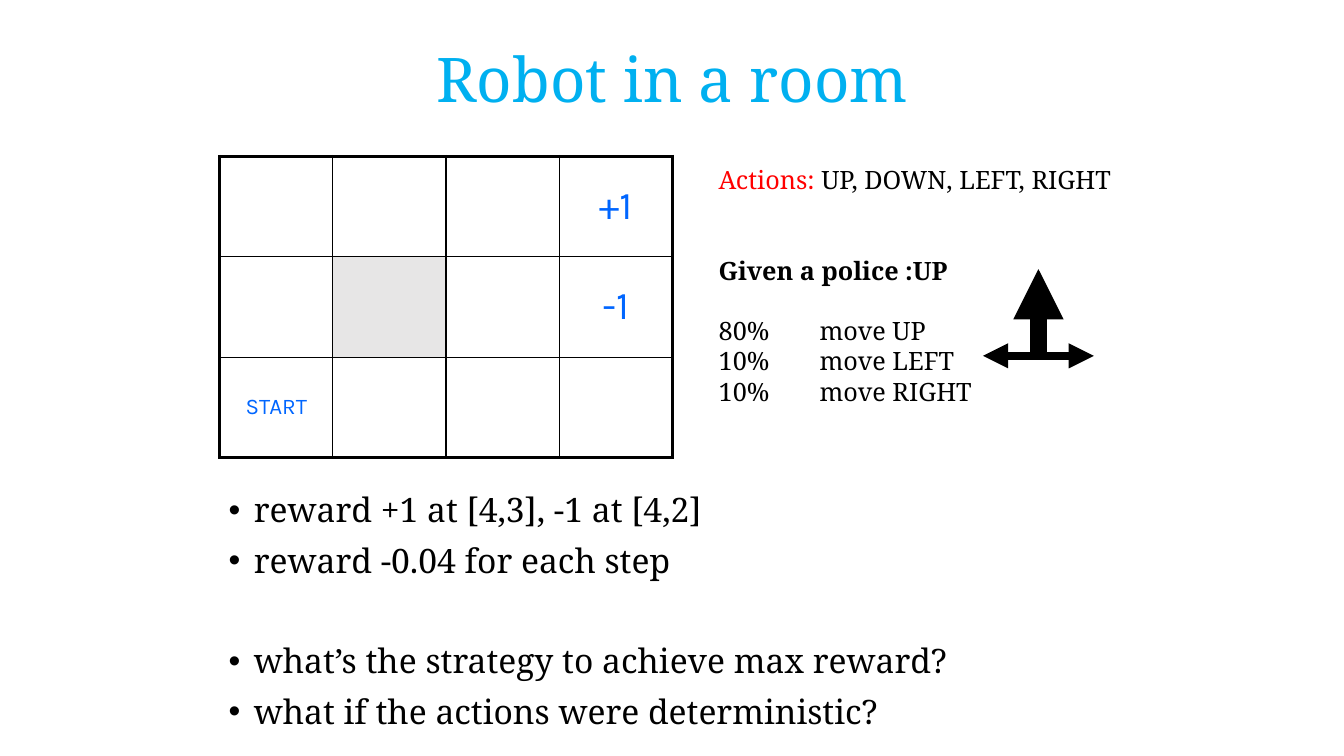
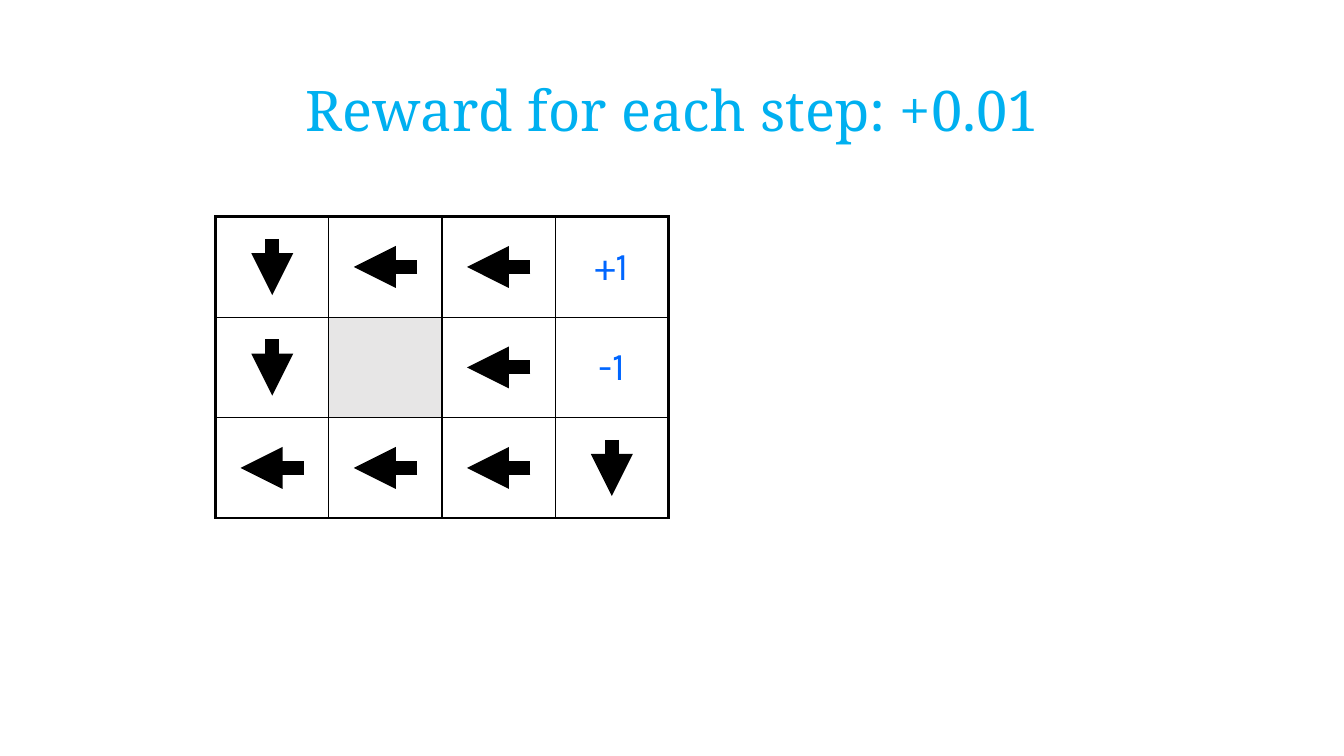
from dataclasses import dataclass

from lxml import etree
from pptx import Presentation
from pptx.dml.color import RGBColor
from pptx.enum.shapes import MSO_CONNECTOR
from pptx.enum.text import MSO_ANCHOR, MSO_AUTO_SIZE, PP_ALIGN
from pptx.oxml.ns import qn
from pptx.util import Inches, Pt

STRAIGHT = MSO_CONNECTOR.STRAIGHT
MIDDLE = MSO_ANCHOR.MIDDLE
CENTER = PP_ALIGN.CENTER
FIXED_SIZE = MSO_AUTO_SIZE.NONE
TITLE_ONLY = 5
SLIDE_WIDTH, SLIDE_HEIGHT = Inches(13.33), Inches(7.5)


@dataclass(frozen=True)
class Theme:
    serif: str = "Noto Serif"
    sans: str = "Karla"
    title: str = "00B0F0"
    ink: str = "000000"
    accent: str = "FF0000"
    mark: str = "0066FF"
    paper: str = "FFFFFF"
    wall: str = "E7E6E6"
    title_size: float = 44
    long_title_size: float = 40
    bullet_size: float = 24
    note_size: float = 18
    reward_size: float = 28
    start_size: float = 16
    frame_line: float = 2.25
    cell_line: float = 1
    line_height: float = 1.2
    tight: float = 0.9
    bullet_gap: float = 10


@dataclass(frozen=True)
class Box:
    left: int
    top: int
    width: int
    height: int

    @property
    def frame(self):
        return self.left, self.top, self.width, self.height

    def point(self, across, down):
        return round(self.left + across * self.width), round(self.top + down * self.height)

    def cell(self, row, column, rows, columns):
        left, top = self.point(column / columns, row / rows)
        return Box(left, top, self.width // columns, self.height // rows)


THEME = Theme()
ROOM_ROWS, ROOM_COLUMNS = 3, 4
WALL = (1, 1)
REWARDS = {(0, 3): "+1", (1, 3): "-1"}
DIRECTIONS = {"L": (-0.28, 0), "D": (0, 0.28)}


def percent_box(left, top, width, height):
    return Box(round(SLIDE_WIDTH * left / 100), round(SLIDE_HEIGHT * top / 100),
               round(SLIDE_WIDTH * width / 100), round(SLIDE_HEIGHT * height / 100))


def style_span(span, size, color=THEME.ink, font=THEME.serif, bold=False):
    span.font.name = font
    span.font.size = Pt(size)
    span.font.bold = bold
    span.font.color.rgb = RGBColor.from_string(color)


def style_para(para, size, **style):
    for span in para.runs:
        style_span(span, size, **style)


def add_titled_page(deck, text, box, size):
    page = deck.slides.add_slide(deck.slide_layouts[TITLE_ONLY])
    title = page.shapes.title
    title.left, title.top, title.width, title.height = box.frame
    frame = title.text_frame
    frame.text = text
    frame.auto_size = FIXED_SIZE
    frame.vertical_anchor = MIDDLE
    para = frame.paragraphs[0]
    para.alignment = CENTER
    para.line_spacing = THEME.tight
    style_para(para, size, color=THEME.title)
    return page


def add_text(page, box, lines):
    frame = page.shapes.add_textbox(*box.frame).text_frame
    frame.word_wrap = True
    frame.text = "\n".join(lines)
    return frame.paragraphs


def set_borders(cell, widths):
    properties = cell._tc.get_or_add_tcPr()
    for index, (side, width) in enumerate(widths.items()):
        line = etree.Element(qn(f"a:ln{side}"), w=str(Pt(width)))
        fill = etree.SubElement(line, qn("a:solidFill"))
        etree.SubElement(fill, qn("a:srgbClr"), val=THEME.ink)
        properties.insert(index, line)


def add_room(page, box, labels):
    table = page.shapes.add_table(ROOM_ROWS, ROOM_COLUMNS, *box.frame).table
    table.first_row = table.horz_banding = False
    for row in range(ROOM_ROWS):
        for column in range(ROOM_COLUMNS):
            cell = table.cell(row, column)
            cell.fill.solid()
            shade = THEME.wall if (row, column) == WALL else THEME.paper
            cell.fill.fore_color.rgb = RGBColor.from_string(shade)
            edges = {"L": column == 0, "R": column == ROOM_COLUMNS - 1,
                     "T": row == 0, "B": row == ROOM_ROWS - 1}
            set_borders(cell, {side: THEME.frame_line if outer else THEME.cell_line
                               for side, outer in edges.items()})
            label = labels.get((row, column))
            if label:
                cell.text = label
                cell.vertical_anchor = MIDDLE
                para = cell.text_frame.paragraphs[0]
                para.alignment = CENTER
                size = THEME.reward_size if (row, column) in REWARDS else THEME.start_size
                style_para(para, size, color=THEME.mark, font=THEME.sans)


def add_arrow(shapes, start, end, width):
    arrow = shapes.add_connector(STRAIGHT, *start, *end)
    arrow.line.color.rgb = RGBColor.from_string(THEME.ink)
    arrow.line.width = Pt(width)
    etree.SubElement(arrow.line._get_or_add_ln(), qn("a:tailEnd"), type="triangle")
    etree.SubElement(arrow._element.spPr, qn("a:effectLst"))


def add_move_arrows(page, box):
    group = page.shapes.add_group_shape()
    for end, width in (((0.5, 0), 12), ((1, 1), 6), ((0, 1), 6)):
        add_arrow(group.shapes, box.point(0.5, 1), box.point(*end), width)


def add_policy(page, box, policy):
    for row, moves in enumerate(policy):
        for column, move in enumerate(moves):
            if move in DIRECTIONS:
                across, down = DIRECTIONS[move]
                cell = box.cell(row, column, ROOM_ROWS, ROOM_COLUMNS)
                add_arrow(page.shapes, cell.point(0.5 - across, 0.5 - down),
                          cell.point(0.5 + across, 0.5 + down), 10)


def add_actions(page, box):
    paras = add_text(page, box, ["Actions: ", "Given a police :UP", "80% \tmove UP",
                                 "10%\tmove LEFT", "10%\tmove RIGHT"])
    actions, given, first_move = paras[:3]
    actions.add_run().text = "UP, DOWN, LEFT, RIGHT"
    for para in paras:
        style_para(para, THEME.note_size, bold=para is given)
    style_span(actions.runs[0], THEME.note_size, color=THEME.accent)
    line = THEME.note_size * THEME.line_height
    given.space_before = Pt(2 * line)
    first_move.space_before = Pt(line)


def add_bullets(page, box, groups):
    paras = add_text(page, box, [line for group in groups for line in group])
    group_starts = {sum(map(len, groups[:index])) for index in range(1, len(groups))}
    skipped = THEME.bullet_size * THEME.line_height * THEME.tight + THEME.bullet_gap
    for index, para in enumerate(paras):
        para.line_spacing = THEME.tight
        para.space_before = Pt(THEME.bullet_gap + skipped * (index in group_starts))
        properties = para._p.get_or_add_pPr()
        properties.set("marL", str(Inches(0.25)))
        properties.set("indent", str(-Inches(0.25)))
        etree.SubElement(properties, qn("a:buFont"), typeface="Arial")
        etree.SubElement(properties, qn("a:buChar"), char="•")
        style_para(para, THEME.bullet_size)


def build_room_page(deck):
    page = add_titled_page(deck, "Robot in a room",
                           percent_box(6.9, 5.33, 86.27, 11.07), THEME.title_size)
    add_room(page, percent_box(16.35, 20.67, 33.68, 39.87), REWARDS | {(2, 0): "START"})
    add_move_arrows(page, percent_box(73.14, 35.6, 8.25, 11.47))
    add_actions(page, percent_box(52.74, 21.07, 31.66, 33.6))
    add_bullets(page, percent_box(16.28, 64.67, 67.52, 35.33), [
        ["reward +1 at [4,3], -1 at [4,2]", "reward -0.04 for each step"],
        ["what’s the strategy to achieve max reward?",
         "what if the actions were deterministic?"]])


def build_policy_page(deck):
    page = add_titled_page(deck, "Reward for each step: +0.01",
                           percent_box(6.9, 5.33, 86.27, 19.33), THEME.long_title_size)
    room = percent_box(16.05, 28.67, 33.68, 39.87)
    add_room(page, room, REWARDS)
    add_policy(page, room, ["DLL.", "D.L.", "LLLD"])


deck = Presentation()
deck.slide_width, deck.slide_height = SLIDE_WIDTH, SLIDE_HEIGHT
build_room_page(deck)
build_policy_page(deck)
deck.save("out.pptx")
